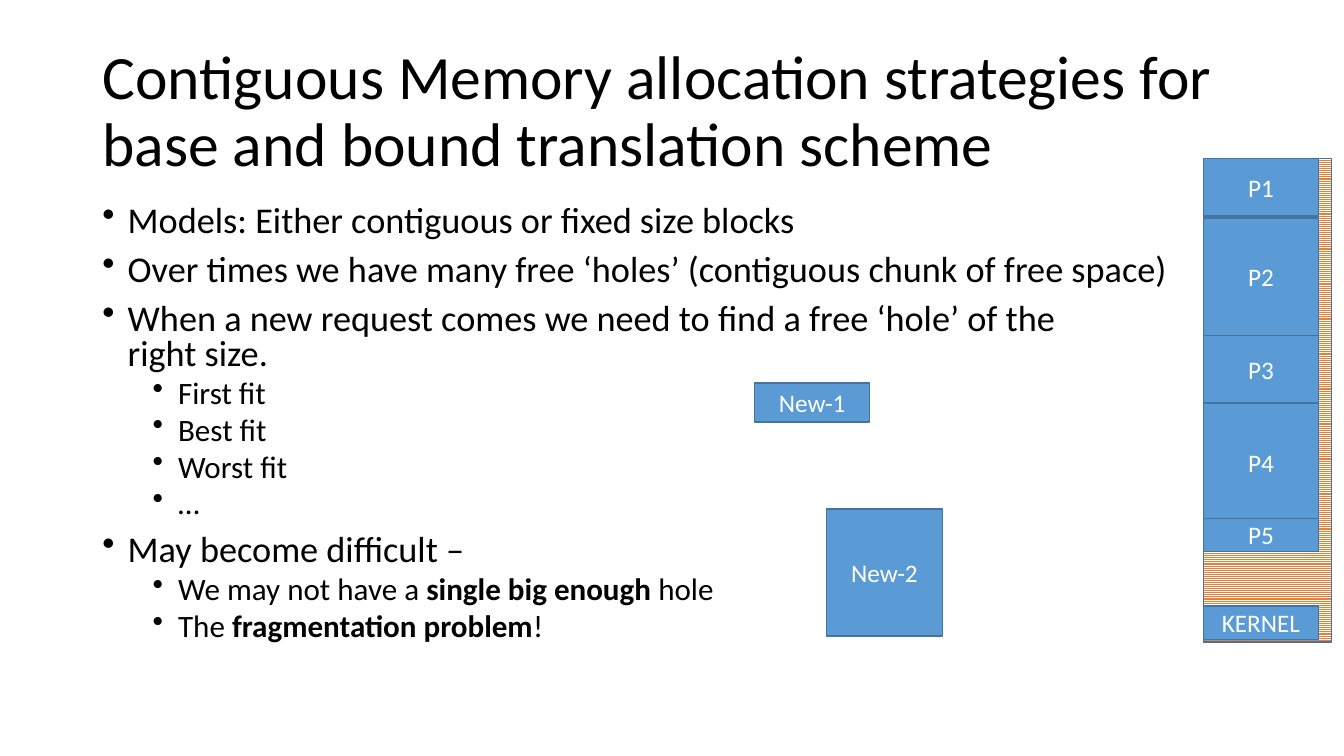
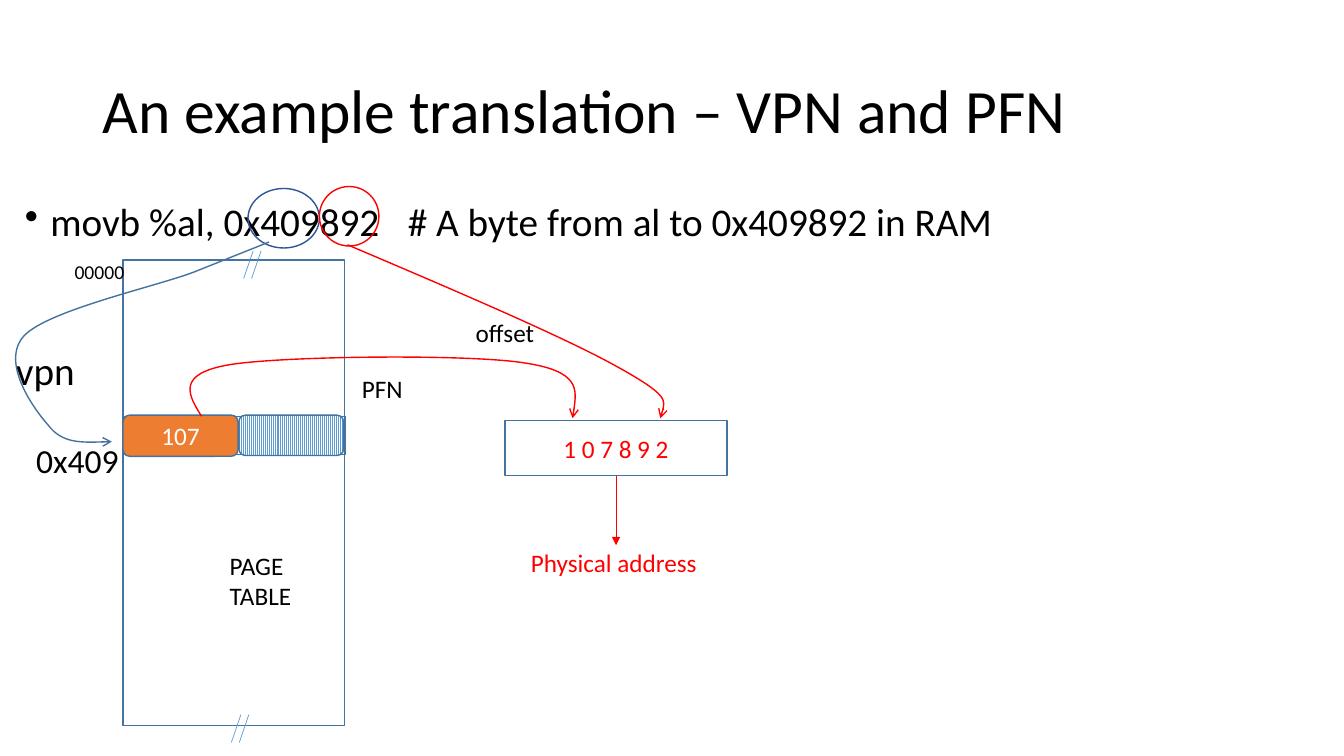
from dataclasses import dataclass

from lxml import etree
from pptx import Presentation
from pptx import util as u
from pptx.dml.color import RGBColor as Rgb
from pptx.enum import dml, shapes, text
from pptx.oxml.ns import qn

Cm, Pt = u.Cm, u.Pt
Kind, Pat = shapes.MSO_SHAPE, dml.MSO_PATTERN


@dataclass(frozen=True)
class Theme:
    """Colours and type sizes shared by the slides."""
    font: str = "Calibri"
    ink: str = "000000"
    pale: str = "FFFFFF"
    blue: str = "5B9BD5"
    edge: str = "43739E"
    navy: str = "2F5597"
    warm: str = "ED7D31"
    red: str = "FF0000"
    head: float = 44
    lead: float = 28
    mid: float = 24
    body: float = 18
    small: float = 14
    list: tuple = (25.9, 22.2)


T = Theme()

POINTS = [
    (0, "Models: Either contiguous or fixed size blocks"),
    (0, "Over times we have many free ‘holes’ (contiguous chunk of free space)"),
    (0, "When a new request comes we need to find a free ‘hole’ of the\nright size."),
    (1, "First fit"),
    (1, "Best fit"),
    (1, "Worst fit"),
    (1, "…"),
    (0, "May become difficult –"),
    (1, "We may not have a *single big enough *hole"),
    (1, "The *fragmentation problem*!"),
]
BLOCKS = [("P1", 0, 1.45), ("P2", 1.5, 2.97), ("P3", 4.47, 1.7),
          ("P4", 6.17, 2.97), ("P5", 9.07, 0.84), ("KERNEL", 11.28, 0.84)]
CURVES = [
    (T.edge, 6.78, 6.1,
     [(-0.43, 0.17), (-1.9, 0.76), (-1.9, 0.76),
      (-2.92, 1.14), (-5.56, 1.72), (-6.17, 2.36),
      (-6.78, 3.02), (-5.94, 4.19), (-5.56, 4.62),
      (-5.21, 5.08), (-4.57, 5.05), (-3.96, 5.03)]),
    (T.red, 5.08, 10.49,
     [(-0.33, -0.53), (-0.66, -1.07), (0.71, -1.3),
      (2.06, -1.52), (6.65, -1.57), (8.1, -1.35),
      (9.55, -1.14), (9.45, -0.53), (9.35, 0.05)]),
    (T.red, 8.76, 6.17,
     [(2.75, 1.17), (5.49, 2.34), (6.81, 3.08),
      (8.13, 3.81), (8, 4.09), (7.88, 4.37)]),
]
LABELS = [
    ("00000", T.small, 1.63, 6.43, 1.78, 0.86),
    ("0x409", T.mid, 0.66, 10.95, 2.62, 1.27),
    ("vpn", T.lead, 0.15, 8.61, 2.01, 1.45),
    ("PFN", T.body, 8.87, 9.29, 1.6, 1.02),
    ("offset", T.body, 11.74, 7.88, 2, 1.02),
]


def hue(code):
    """Return a colour from its hex code."""
    return Rgb.from_string(code)


def style(par, size, ink=T.ink):
    """Set the font of a paragraph."""
    par.font.name, par.font.size = T.font, Pt(size)
    par.font.color.rgb = hue(ink)


def stroke(item, ink, width=1, tip=None):
    """Set a line, with an optional arrowhead at its end."""
    item.line.color.rgb, item.line.width = hue(ink), Pt(width)
    if tip:
        etree.SubElement(item.line._get_or_add_ln(), qn("a:tailEnd"), type=tip)


def shape(slide, kind, x, y, w, h, fill=None, edge=T.edge, pat=None, words="", ink=T.pale):
    """Add a preset shape with centred words."""
    item = slide.shapes.add_shape(kind, Cm(x), Cm(y), Cm(w), Cm(h))
    item.shadow.inherit = False
    if pat:
        item.fill.patterned()
        item.fill.pattern = pat
        item.fill.fore_color.rgb, item.fill.back_color.rgb = hue(fill), hue(T.pale)
    elif fill:
        item.fill.solid()
        item.fill.fore_color.rgb = hue(fill)
    else:
        item.fill.background()
    stroke(item, edge)
    if words:
        frame = item.text_frame
        frame.word_wrap, frame.vertical_anchor = True, text.MSO_ANCHOR.MIDDLE
        par = frame.paragraphs[0]
        par.text, par.alignment = words, text.PP_ALIGN.CENTER
        style(par, T.body, ink)


def label(slide, words, size, x, y, w, h, ink=T.ink, wrap=False):
    """Add a plain text label."""
    frame = slide.shapes.add_textbox(Cm(x), Cm(y), Cm(w), Cm(h)).text_frame
    frame.word_wrap = wrap
    frame.paragraphs[0].text = words
    style(frame.paragraphs[0], size, ink)


def line(slide, x, y, dx, dy, ink, tip=None):
    """Add a thin straight line."""
    item = slide.shapes.add_connector(
        shapes.MSO_CONNECTOR.STRAIGHT, Cm(x), Cm(y), Cm(x + dx), Cm(y + dy))
    stroke(item, ink, 0.5, tip)
    etree.SubElement(item._element.spPr, qn("a:effectLst"))


def curve(slide, ink, x, y, steps):
    """Add a curved arrow from Bezier points relative to its start."""
    pen = slide.shapes.build_freeform(Cm(x), Cm(y))
    pen.add_line_segments([(Cm(x + dx), Cm(y + dy)) for dx, dy in steps], close=False)
    item = pen.convert_to_shape()
    item.shadow.inherit = False
    item.fill.background()
    stroke(item, ink, tip="arrow")
    track = next(item._element.iter(qn("a:path")))
    legs = track.findall(qn("a:lnTo"))
    for k in range(0, len(legs), 3):
        bend = etree.SubElement(track, qn("a:cubicBezTo"))
        for leg in legs[k:k + 3]:
            bend.append(leg[0])
            track.remove(leg)


def start(deck, words):
    """Add a slide with its title."""
    slide = deck.slides.add_slide(deck.slide_layouts[5])
    title = slide.shapes.title
    title.left, title.top, title.width, title.height = Cm(2.33), Cm(1.01), Cm(29.21), Cm(3.68)
    frame = title.text_frame
    frame.text, frame.word_wrap = words, True
    frame.auto_size, frame.vertical_anchor = text.MSO_AUTO_SIZE.NONE, text.MSO_ANCHOR.MIDDLE
    par = frame.paragraphs[0]
    par.alignment, par.line_spacing = text.PP_ALIGN.LEFT, 0.9
    style(par, T.head)
    return slide


def bullets(slide, items, sizes, space, x, y, w, h, stop=None):
    """Add a bulleted list; stars enclose bold words."""
    frame = slide.shapes.add_textbox(Cm(x), Cm(y), Cm(w), Cm(h)).text_frame
    frame.word_wrap = True
    for k, (level, words) in enumerate(items):
        par = frame.add_paragraph() if k else frame.paragraphs[0]
        for n, part in enumerate(words.split("*")):
            for m, row in enumerate(part.split("\n")):
                if m:
                    par.add_line_break()
                run = par.add_run()
                run.text = row
                if n % 2:
                    run.font.bold = True
        par.level = level
        props = par._p.get_or_add_pPr()
        props.set("marL", str(Cm(0.64 + 1.27 * level)))
        props.set("indent", str(Cm(-0.64)))
        etree.SubElement(props, qn("a:buChar"), char="•")
        if stop:
            tabs = etree.SubElement(props, qn("a:tabLst"))
            etree.SubElement(tabs, qn("a:tab"), pos=str(Cm(stop)), algn="l")
        par.line_spacing, par.space_before = space, Pt(5 if level else 10)
        style(par, sizes[level])


def memory(slide, x, y, w, h):
    """Draw the memory column with its used blocks."""
    shape(slide, Kind.RECTANGLE, x, y, w, h, T.warm, pat=Pat.LIGHT_HORIZONTAL)
    for name, dy, tall in BLOCKS:
        shape(slide, Kind.RECTANGLE, x, y + dy, w - 0.33, tall, T.blue, words=name)


def table(slide, x, y, w, h):
    """Draw the page table with one entry and its break marks."""
    top = y + 3.91
    shape(slide, Kind.RECTANGLE, x + 0.05, top + 0.03, w - 0.03, 0.97, T.blue,
          pat=Pat.SMALL_CONFETTI)
    shape(slide, Kind.RECTANGLE, x, y, w, h)
    for dx, dy in ((3.28, -0.23), (2.97, h - 0.27)):
        for gap in (0, 0.2):
            line(slide, x + dx + gap, y + dy, -0.24, 0.7, T.blue)
    label(slide, "PAGE TABLE", T.body, x + 2.44, y + 7.19, 2.29, 1.8, wrap=True)
    shape(slide, Kind.ROUNDED_RECTANGLE, x, top, 2.9, 1.04, T.warm, words="107")
    shape(slide, Kind.ROUNDED_RECTANGLE, x + 2.92, top, 2.64, 1.02, T.blue,
          pat=Pat.LIGHT_VERTICAL)


def result(slide, x, y, w, h):
    """Draw the physical address box and its caption."""
    shape(slide, Kind.RECTANGLE, x, y, w, h, words="1 0 7 8 9 2", ink=T.red)
    line(slide, x + w / 2, y + h, 0, 1.75, T.red, "triangle")
    label(slide, "Physical address", T.body, x + 0.4, y + 3.08, 4.72, 1.02, T.red)


def fit(deck):
    """Build the slide on allocation strategies."""
    slide = start(deck, "Contiguous Memory allocation strategies for "
                        "base and bound translation scheme")
    bullets(slide, POINTS, T.list, 0.8, 2.33, 5.07, 29.21, 12.1)
    memory(slide, 30.33, 3.99, 3.23, 12.19)
    shape(slide, Kind.RECTANGLE, 20.83, 12.83, 2.92, 3.2, T.blue, words="New-2")
    shape(slide, Kind.RECTANGLE, 19.02, 9.65, 2.9, 0.99, T.blue, words="New-1")


def lookup(deck):
    """Build the slide on address translation."""
    slide = start(deck, "An example translation – VPN and PFN")
    bullets(slide, [(0, "movb %al, 0x409892\t# A byte from al to 0x409892 in RAM")],
            [T.lead], 0.9, 0.38, 4.98, 30.38, 1.68, stop=9.65)
    table(slide, 3.1, 6.55, 5.59, 11.73)
    shape(slide, Kind.OVAL, 6.25, 4.75, 1.8, 1.5, edge=T.navy)
    shape(slide, Kind.OVAL, 8.05, 4.7, 1.5, 1.5, edge=T.red)
    for item in LABELS:
        label(slide, *item)
    for item in CURVES:
        curve(slide, *item)
    result(slide, 12.73, 10.59, 5.59, 1.4)


def main():
    """Build and save the deck."""
    deck = Presentation()
    deck.slide_width, deck.slide_height = Cm(33.87), Cm(19.05)
    fit(deck)
    lookup(deck)
    deck.save("out.pptx")


if __name__ == "__main__":
    main()
